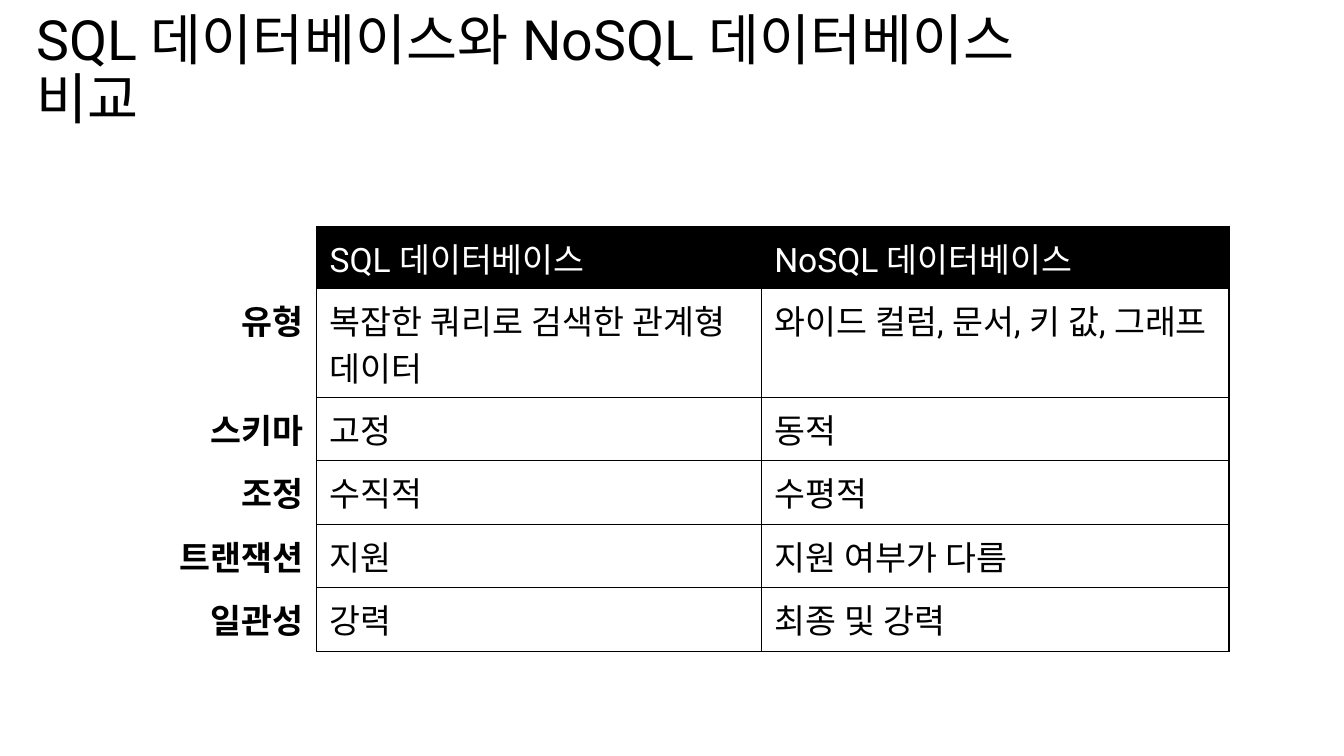
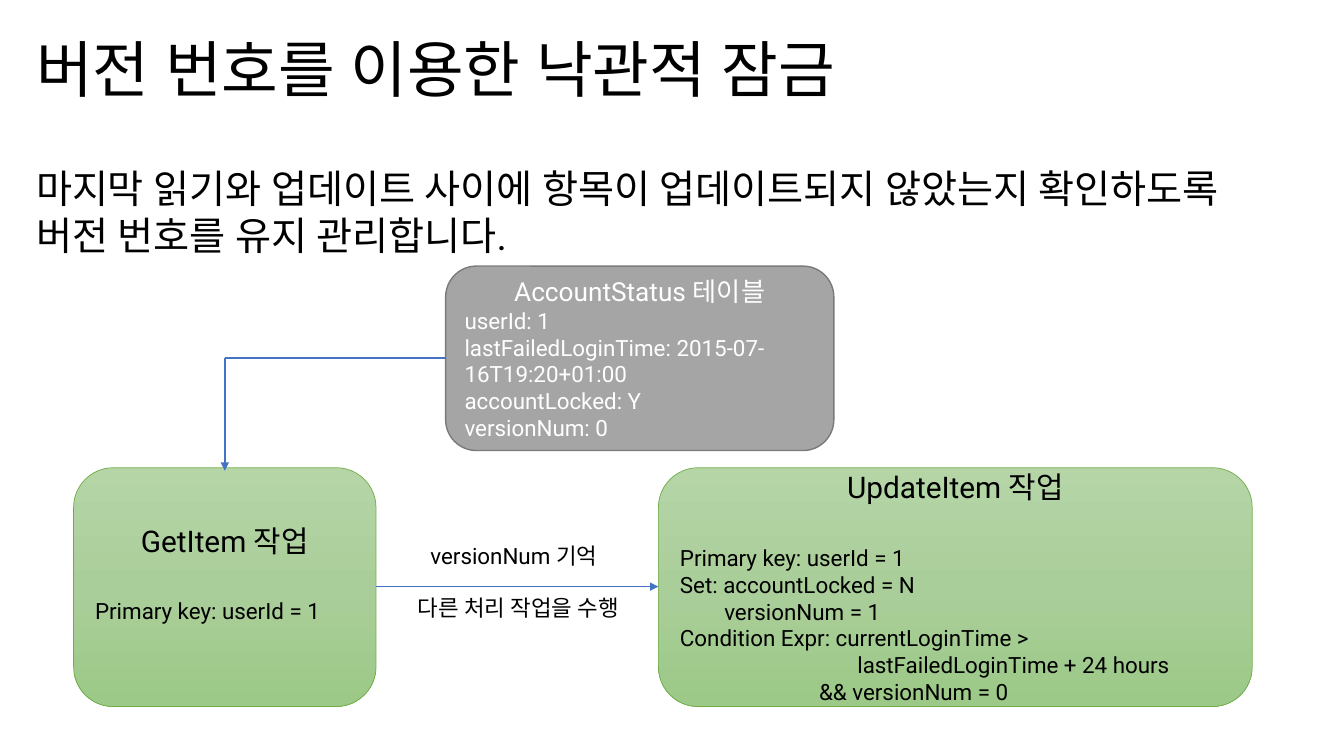
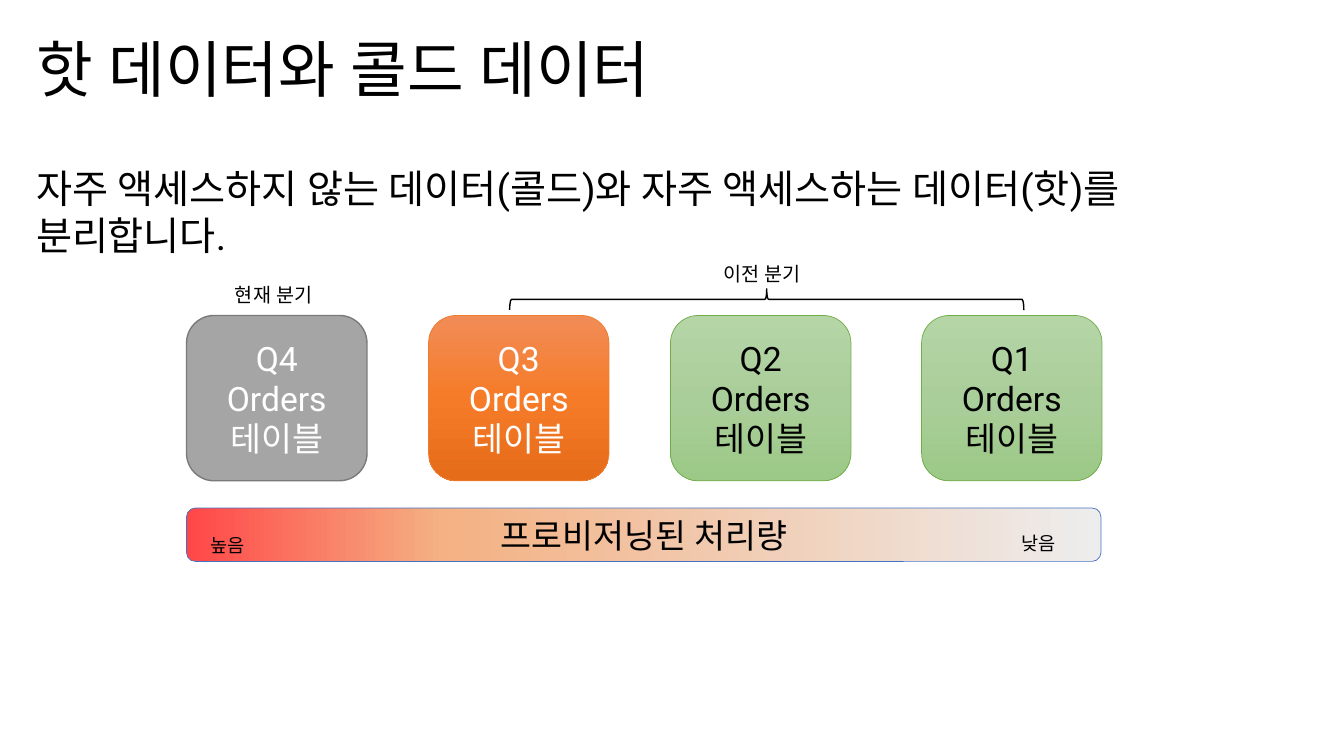
import pptx
import pptx.util
import pptx.dml.color
import pptx.enum.shapes
import pptx.enum.text
import pptx.oxml.ns
import lxml.etree

Inches, Pt = pptx.util.Inches, pptx.util.Pt
RGBColor = pptx.dml.color.RGBColor
SHAPE = pptx.enum.shapes.MSO_SHAPE
ALIGN = pptx.enum.text.PP_ALIGN
ANCHOR = pptx.enum.text.MSO_ANCHOR
AUTO = pptx.enum.text.MSO_AUTO_SIZE
qn = pptx.oxml.ns.qn

FONT = "Roboto"
BLACK = RGBColor(0x00, 0x00, 0x00)
WHITE = RGBColor(0xFF, 0xFF, 0xFF)
GRAY = RGBColor(0xA5, 0xA5, 0xA5)
DARK_GRAY = RGBColor(0x7A, 0x7A, 0x7A)
BLUE = RGBColor(0x44, 0x72, 0xC4)
GREEN = RGBColor(0x70, 0xAD, 0x47)
ORANGE = RGBColor(0xED, 0x7D, 0x31)
GREEN_STOPS = [(0, RGBColor(0xB5, 0xD5, 0xA7)), (50, RGBColor(0xAA, 0xCE, 0x9A)),
               (100, RGBColor(0x9C, 0xC9, 0x87))]
ORANGE_STOPS = [(0, RGBColor(0xF1, 0x8C, 0x57)), (50, RGBColor(0xF6, 0x7B, 0x28)),
                (100, RGBColor(0xE5, 0x6C, 0x19))]
HEAT_STOPS = [(0, RGBColor(0xFF, 0x47, 0x47)), (28, RGBColor(0xF4, 0xB1, 0x83)),
              (100, RGBColor(0xED, 0xED, 0xED))]

# Box styles: fill (colour or gradient stops), line colour, line width, text colour
GRAY_BOX = (GRAY, DARK_GRAY, 1, WHITE)
GREEN_BOX = (GREEN_STOPS, GREEN, 0.5, BLACK)
ORANGE_BOX = (ORANGE_STOPS, ORANGE, 0.5, WHITE)
HEAT_BOX = (HEAT_STOPS, BLUE, 0.5, BLACK)

# Slide 1
COMPARE_TITLE = "SQL 데이터베이스와 NoSQL 데이터베이스 비교"
COMPARE_ROWS = [
    ("", "SQL 데이터베이스", "NoSQL 데이터베이스"),
    ("유형", "복잡한 쿼리로 검색한 관계형 데이터", "와이드 컬럼, 문서, 키 값, 그래프"),
    ("스키마", "고정", "동적"),
    ("조정", "수직적", "수평적"),
    ("트랜잭션", "지원", "지원 여부가 다름"),
    ("일관성", "강력", "최종 및 강력"),
]
COL_WIDTHS = [2.47, 4.41, 4.64]
ROW_HEIGHTS = [0.54, 1.08] + [0.63] * 4

# Slide 2; each paragraph is text, size, then options
LOCK_TITLE = "버전 번호를 이용한 낙관적 잠금"
LOCK_BODY = ("마지막 읽기와 업데이트 사이에 항목이 업데이트되지 않았는지 "
             "확인하도록 버전 번호를 유지 관리합니다.")
CENTER = {"align": ALIGN.CENTER}
HEADING = {"align": ALIGN.CENTER, "after": 28}
STATUS_TEXT = [
    ("AccountStatus 테이블", 18.7, CENTER),
    ("userId: 1", 16, {}),
    ("lastFailedLoginTime: 2015-07-16T19:20+01:00", 16, {}),
    ("accountLocked: Y", 16, {}),
    ("versionNum: 0", 16, {}),
]
UPDATE_TEXT = [
    ("UpdateItem 작업", 21.3, HEADING),
    ("Primary key: userId = 1", 16, {}),
    ("Set: accountLocked = N", 16, {}),
    ("versionNum = 1", 16, {"indent": 0.44}),
    ("Condition Expr: currentLoginTime >", 16, {}),
    ("lastFailedLoginTime + 24 hours", 16, {"indent": 1.76}),
    ("&& versionNum = 0", 16, {"indent": 1.38}),
]
GET_TEXT = [("GetItem 작업", 21.3, HEADING), ("Primary key: userId = 1", 16, {})]
LOCK_BOXES = [
    ((4.42, 2.64, 3.85, 1.83), GRAY_BOX, STATUS_TEXT, 0.05),
    ((6.53, 4.64, 5.89, 2.37), GREEN_BOX, UPDATE_TEXT, 0.05),
    ((0.73, 4.64, 3, 2.37), GREEN_BOX, GET_TEXT, 0.32),
]
LOCK_LINES = [  # from, to, arrowhead
    ((4.42, 3.55), (2.23, 3.55), False),
    ((2.23, 3.55), (2.23, 4.67), True),
    ((3.73, 5.82), (6.53, 5.82), True),
]
LOCK_LABELS = [
    ((4, 5.33, 2.19, 0.37), "versionNum 기억"),
    ((3.75, 5.85, 2.78, 0.37), "다른 처리 작업을 수행"),
]

# Slide 3
HOT_TITLE = "핫 데이터와 콜드 데이터"
HOT_BODY = "자주 액세스하지 않는 데이터(콜드)와 자주 액세스하는 데이터(핫)를 분리합니다."
QUARTERS = [
    (1.85, GRAY_BOX, ["Q4 Orders", "테이블"]),
    (4.25, ORANGE_BOX, ["Q3 Orders 테이블"]),
    (6.65, GREEN_BOX, ["Q2", "Orders 테이블"]),
    (9.14, GREEN_BOX, ["Q1", "Orders 테이블"]),
]
THROUGHPUT = "프로비저닝된 처리량"
HOT_LABELS = [  # place, text, size, options, wrap
    ((1.99, 5.25, 0.59, 0.33), "높음", 13.3, {}, False),
    ((10.03, 5.23, 0.58, 0.33), "낮음", 13.3, {}, False),
    ((1.98, 2.76, 1.47, 0.34), "현재 분기", 14, CENTER, True),
    ((7.08, 2.55, 1.04, 0.34), "이전 분기", 14, {}, False),
]


def inches(values):
    """Turn a row of numbers into lengths."""
    return [Inches(v) for v in values]


def style(p, size, color, align=ALIGN.LEFT, after=0, indent=0, spacing=None, bold=False):
    """Format one paragraph."""
    p.alignment, p.space_before, p.space_after = align, Pt(0), Pt(after)
    if spacing:
        p.line_spacing = spacing
    f = p.font
    f.size, f.bold, f.name = Pt(size), bold, FONT
    f.color.rgb = color
    pPr = p._p.get_or_add_pPr()
    lxml.etree.SubElement(pPr.find(qn("a:defRPr")), qn("a:ea"), typeface=FONT)
    if indent:
        pPr.set("marL", str(Inches(indent)))


def write(tf, paragraphs, color):
    """Fill a text frame with (text, size, options) paragraphs."""
    for i, (text, size, options) in enumerate(paragraphs):
        p = tf.add_paragraph() if i else tf.paragraphs[0]
        p.text = text
        style(p, size, color, **options)


def add_slide(prs, title, width=12.16, size=44):
    """Add a slide with the shared title style."""
    s = prs.slides.add_slide(prs.slide_layouts[5])
    sp = s.shapes.title
    sp.left, sp.top, sp.width, sp.height = inches((0.26, 0.29, width, 0.85))
    tf = sp.text_frame
    tf.auto_size, tf.vertical_anchor, tf.word_wrap = AUTO.NONE, ANCHOR.MIDDLE, True
    write(tf, [(title, size, {"spacing": 0.9})], BLACK)
    return s


def add_text(s, at, paragraphs, wrap=True, grow=True):
    """Add a text box."""
    tf = s.shapes.add_textbox(*inches(at)).text_frame
    tf.word_wrap = wrap
    tf.auto_size = AUTO.SHAPE_TO_FIT_TEXT if grow else AUTO.NONE
    write(tf, paragraphs, BLACK)


def add_body(s, text, width):
    """Add the lead sentence below the title."""
    add_text(s, (0.26, 1.58, width, 5.37), [(text, 28, {"after": 6})], grow=False)


def fill_gradient(sp, stops, angle):
    """Give a shape a linear gradient with any number of stops."""
    sp.fill.gradient()
    sp.fill.gradient_angle = angle
    gs_list = sp._element.spPr.find(qn("a:gradFill")).find(qn("a:gsLst"))
    for gs in list(gs_list):
        gs_list.remove(gs)
    for percent, color in stops:
        gs = lxml.etree.SubElement(gs_list, qn("a:gs"), pos=str(percent * 1000))
        lxml.etree.SubElement(gs, qn("a:srgbClr"), val=str(color))


def add_box(s, at, box_style, paragraphs, bottom=0.05, angle=270):
    """Add a rounded box with text."""
    fill, line, width, color = box_style
    sp = s.shapes.add_shape(SHAPE.ROUNDED_RECTANGLE, *inches(at))
    sp.shadow.inherit = False
    if isinstance(fill, list):
        fill_gradient(sp, fill, angle)
    else:
        sp.fill.solid()
        sp.fill.fore_color.rgb = fill
    sp.line.color.rgb, sp.line.width = line, Pt(width)
    tf = sp.text_frame
    tf.word_wrap, tf.vertical_anchor = True, ANCHOR.MIDDLE
    tf.margin_bottom = Inches(bottom)
    write(tf, paragraphs, color)


def add_line(s, start, end, arrow):
    """Add a blue line, with an arrowhead at its end if asked."""
    c = s.shapes.add_connector(pptx.enum.shapes.MSO_CONNECTOR.STRAIGHT,
                               *inches(start + end))
    c.line.color.rgb, c.line.width = BLUE, Pt(1)
    if arrow:
        lxml.etree.SubElement(c.line._get_or_add_ln(), qn("a:tailEnd"), type="triangle")
    lxml.etree.SubElement(c._element.spPr, qn("a:effectLst"))


def set_borders(cell, sides):
    """Draw black borders on the given sides and none on the others."""
    tcPr = cell._tc.get_or_add_tcPr()
    for i, side in enumerate("LRTB"):
        ln = lxml.etree.Element(qn("a:ln" + side), w=str(Pt(1)))
        if side in sides:
            solid = lxml.etree.SubElement(ln, qn("a:solidFill"))
            lxml.etree.SubElement(solid, qn("a:srgbClr"), val=str(BLACK))
        else:
            lxml.etree.SubElement(ln, qn("a:noFill"))
        tcPr.insert(i, ln)


def add_compare_table(s):
    """Add the comparison table with row labels in the first column."""
    at = (0.67, 2.25, sum(COL_WIDTHS), sum(ROW_HEIGHTS))
    table = s.shapes.add_table(len(COMPARE_ROWS), len(COL_WIDTHS), *inches(at)).table
    table.first_row = table.horz_banding = False
    for column, width in zip(table.columns, COL_WIDTHS):
        column.width = Inches(width)
    for r, texts in enumerate(COMPARE_ROWS):
        table.rows[r].height = Inches(ROW_HEIGHTS[r])
        for c, text in enumerate(texts):
            cell, label, header = table.cell(r, c), c == 0, r == 0 and c > 0
            cell.margin_left = cell.margin_right = Inches(0.13)
            cell.margin_top = cell.margin_bottom = Inches(0.07)
            cell.fill.solid()
            cell.fill.fore_color.rgb = BLACK if header else WHITE
            options = {"align": ALIGN.RIGHT if label else ALIGN.LEFT,
                       "bold": label, "spacing": 1.2}
            write(cell.text_frame, [(text, 24, options)], WHITE if header else BLACK)
            set_borders(cell, "R" if label else "LRTB")


def build_compare(prs):
    """Build the SQL and NoSQL comparison."""
    add_compare_table(add_slide(prs, COMPARE_TITLE, 10.23, 39.6))


def build_lock(prs):
    """Build the optimistic locking flow."""
    s = add_slide(prs, LOCK_TITLE)
    add_body(s, LOCK_BODY, 12.5)
    for at, box_style, paragraphs, bottom in LOCK_BOXES:
        add_box(s, at, box_style, paragraphs, bottom)
    for start, end, arrow in LOCK_LINES:
        add_line(s, start, end, arrow)
    for at, text in LOCK_LABELS:
        add_text(s, at, [(text, 16, CENTER)])


def build_hot(prs):
    """Build the hot and cold data picture by quarter."""
    s = add_slide(prs, HOT_TITLE)
    add_body(s, HOT_BODY, 11.5)
    for left, box_style, lines in QUARTERS:
        add_box(s, (left, 3.13, 1.79, 1.64), box_style,
                [(line, 24, CENTER) for line in lines])
    add_box(s, (1.85, 5.04, 9.07, 0.53), HEAT_BOX, [(THROUGHPUT, 24, CENTER)], angle=0)
    for at, text, size, options, wrap in HOT_LABELS:
        add_text(s, at, [(text, size, options)], wrap)
    brace = s.shapes.add_shape(SHAPE.RIGHT_BRACE, *inches((7.5, 0.42, 0.21, 5.1)))
    brace.rotation = 270
    brace.shadow.inherit = False
    brace.fill.background()
    brace.line.color.rgb, brace.line.width = BLACK, Pt(1)


prs = pptx.Presentation()
prs.slide_width, prs.slide_height = inches((13.33, 7.5))
build_compare(prs)
build_lock(prs)
build_hot(prs)
prs.save("out.pptx")
